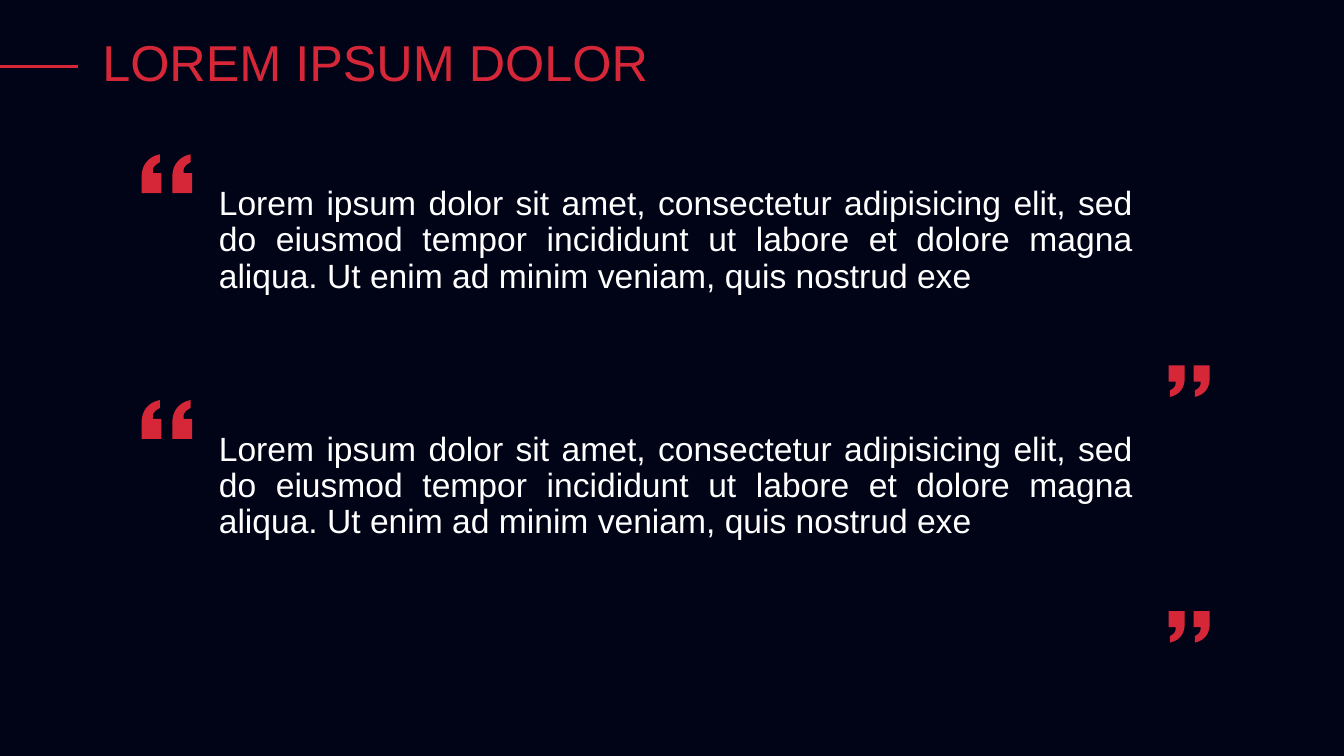
from dataclasses import dataclass

from lxml import etree
from pptx import Presentation
from pptx import util as u
from pptx.dml.color import RGBColor
from pptx.enum import shapes, text
from pptx.oxml import ns
from pptx.slide import Slide

PX = 9525
NAVY = RGBColor(0x01, 0x03, 0x17)
RED = RGBColor(0xD6, 0x27, 0x39)
WHITE = RGBColor(0xFF, 0xFF, 0xFF)
FONT = "Arial"
QUOTE = (
    "Lorem ipsum dolor sit amet, consectetur adipisicing elit, sed do eiusmod tempor "
    "incididunt ut labore et dolore magna aliqua. Ut enim ad minim veniam, quis nostrud exe"
)
QUOTE_COUNT = 2
QUOTE_PITCH = 234
GLYPH_W, GLYPH_H = 500, 390
MARK_OFFSETS = (0, 305)

Point = tuple[float, float]


@dataclass(frozen=True)
class Box:
    """A rectangle in px."""

    left: int
    top: int
    width: int
    height: int

    def lowered(self, distance: int) -> "Box":
        """Return the same box further down."""
        return Box(self.left, self.top + distance, self.width, self.height)


@dataclass(frozen=True)
class Style:
    """The look of a one-paragraph text box."""

    size: int
    color: RGBColor
    align: text.PP_ALIGN
    anchor: text.MSO_ANCHOR
    space_before: float = 0


TITLE_BOX = Box(88, 17, 1104, 90)
QUOTE_BOX = Box(199, 173, 889, 180)
OPEN_BOX = Box(135, 147, 48, 37)
CLOSE_BOX = Box(1113, 348, 39, 30)
TITLE_STYLE = Style(36, RED, text.PP_ALIGN.LEFT, text.MSO_ANCHOR.MIDDLE)
QUOTE_STYLE = Style(24, WHITE, text.PP_ALIGN.JUSTIFY, text.MSO_ANCHOR.TOP, 7.3)


def bezier(a: Point, b: Point, c: Point, d: Point, steps: int = 12) -> list[Point]:
    """Return points along a cubic curve, both ends included."""
    points = []
    for i in range(steps + 1):
        t = i / steps
        v = 1 - t
        weights = (v**3, 3 * v * v * t, 3 * v * t * t, t**3)
        x, y = (sum(w * k for w, k in zip(weights, axis)) for axis in zip(a, b, c, d))
        points.append((x, y))
    return points


MARK = [
    *bezier((180, 80), (140, 100), (110, 130), (110, 160)),
    (110, 190), (195, 190), (195, 390), (0, 390),
    *bezier((0, 200), (10, 90), (80, 20), (180, 0)),
]


def add_text(s: Slide, box: Box, content: str, style: Style) -> None:
    """Add a wrapped text box with one paragraph."""
    sp = s.shapes.add_textbox(box.left * PX, box.top * PX, box.width * PX, box.height * PX)
    tf = sp.text_frame
    tf.word_wrap = True
    tf.vertical_anchor = style.anchor
    tf.text = content
    p = tf.paragraphs[0]
    p.alignment = style.align
    p.line_spacing = 0.9
    p.space_before = u.Pt(style.space_before)
    r = p.runs[0]
    r.font.name = FONT
    r.font.size = u.Pt(style.size)
    r.font.color.rgb = style.color


def add_quote_marks(s: Slide, box: Box, closing: bool) -> None:
    """Draw a pair of quotation marks, turned half round when closing."""

    def place(point: Point, offset: int) -> tuple[int, int]:
        """Map a glyph point into the box."""
        x, y = (point[0] + offset) / GLYPH_W, point[1] / GLYPH_H
        if closing:
            x, y = 1 - x, 1 - y
        return round((box.left + x * box.width) * PX), round((box.top + y * box.height) * PX)

    outlines = [[place(point, offset) for point in MARK] for offset in MARK_OFFSETS]
    builder = s.shapes.build_freeform(*outlines[0][0])
    for i, outline in enumerate(outlines):
        if i:
            builder.move_to(*outline[0])
        builder.add_line_segments(outline[1:], close=True)
    sp = builder.convert_to_shape()
    sp.shadow.inherit = False
    sp.fill.solid()
    sp.fill.fore_color.rgb = RED
    sp.line.fill.background()


def add_title_rule(s: Slide) -> None:
    """Draw the short line left of the title."""
    rule = s.shapes.add_connector(shapes.MSO_CONNECTOR.STRAIGHT, 0, 63 * PX, 74 * PX, 63 * PX)
    rule.line.color.rgb = RED
    rule.line.width = u.Pt(2.25)
    etree.SubElement(rule._element.spPr, ns.qn("a:effectLst"))


def main() -> None:
    """Build and save the slide."""
    prs = Presentation()
    prs.slide_width, prs.slide_height = 1280 * PX, 720 * PX
    s = prs.slides.add_slide(prs.slide_layouts[6])
    s.background.fill.solid()
    s.background.fill.fore_color.rgb = NAVY
    add_title_rule(s)
    add_text(s, TITLE_BOX, "LOREM IPSUM DOLOR", TITLE_STYLE)
    for i in range(QUOTE_COUNT):
        drop = i * QUOTE_PITCH
        add_text(s, QUOTE_BOX.lowered(drop), QUOTE, QUOTE_STYLE)
        add_quote_marks(s, OPEN_BOX.lowered(drop), closing=False)
        add_quote_marks(s, CLOSE_BOX.lowered(drop), closing=True)
    prs.save("out.pptx")


if __name__ == "__main__":
    main()
